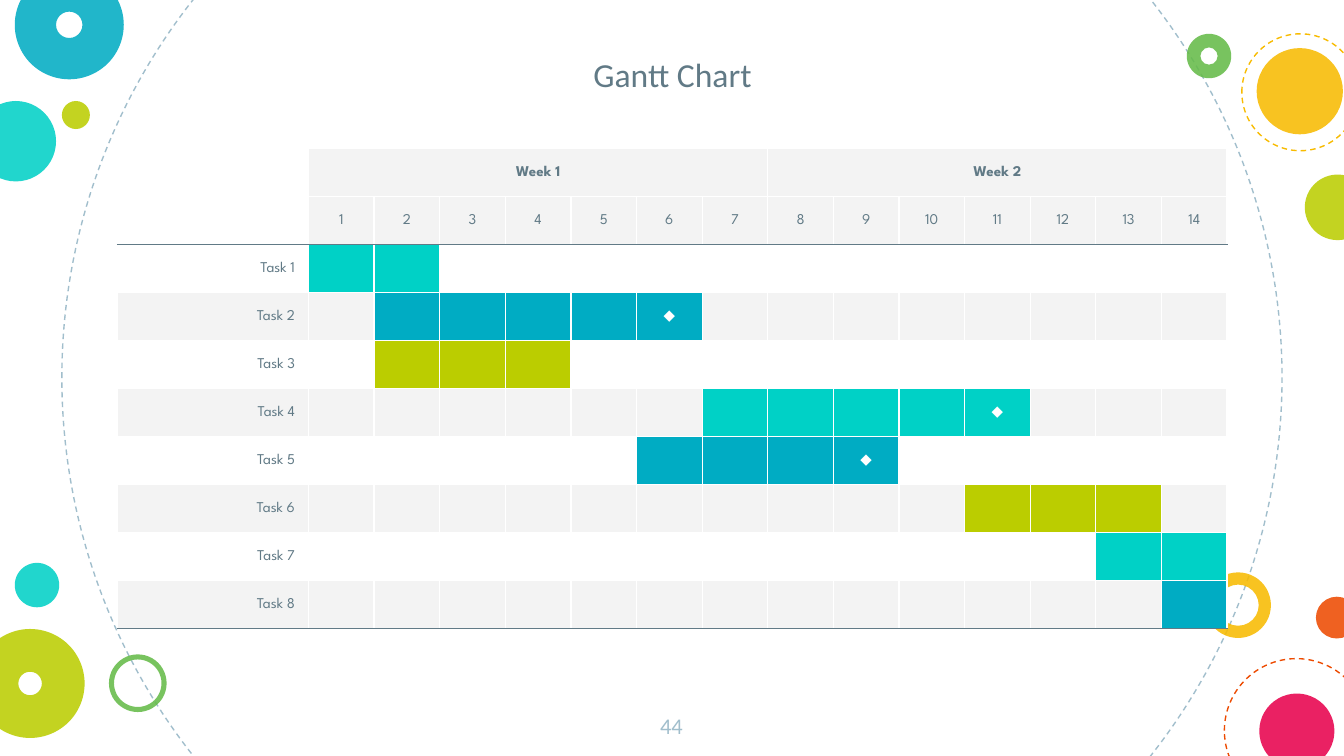
from typing import NamedTuple, Optional

from lxml.etree import SubElement
from pptx import Presentation
from pptx.dml.color import RGBColor
from pptx.enum.dml import MSO_LINE
from pptx.enum.shapes import MSO_SHAPE as SHAPE
from pptx.enum.text import MSO_ANCHOR as ANCHOR, PP_ALIGN as ALIGN
from pptx.oxml.ns import qn
from pptx.util import Cm, Pt

WHITE, GREY, SLATE, MIST = "FFFFFF", "F3F3F3", "617A86", "A1BECC"
TEAL, BLUE, LIME, GREEN = "00D1C6", "00ACC3", "BBCD00", "65BB48"
YELLOW, ORANGE, PINK = "F8BB00", "ED4A00", "E8004C"
DAYS_PER_WEEK, WEEKS = 7, 2
DAYS = DAYS_PER_WEEK * WEEKS
HEADER_ROWS = 2


class Circle(NamedTuple):
    left: float
    top: float
    size: float
    color: str
    ring: Optional[float] = None
    dashed: bool = False


class Task(NamedTuple):
    start: int
    end: int
    color: str
    milestone: bool = False


CIRCLES = [
    Circle(1.17, -4.39, 23.06, MIST, dashed=True),
    Circle(-0.46, 1.91, 1.52, TEAL),
    Circle(22.78, 10.82, 1.24, YELLOW, ring=0.186),
    Circle(0.28, -0.56, 2.06, BLUE, ring=0.379),
    Circle(1.17, 1.91, 0.53, LIME),
    Circle(23.14, 12.45, 2.72, ORANGE, dashed=True),
    Circle(2.06, 12.37, 1.09, GREEN, ring=0.088),
    Circle(24.87, 11.28, 0.79, ORANGE),
    Circle(-0.46, 11.89, 2.06, LIME, ring=0.392),
    Circle(23.8, 13.11, 1.42, PINK),
    Circle(22.43, 0.64, 0.84, GREEN, ring=0.306),
    Circle(23.75, 0.91, 1.63, YELLOW),
    Circle(24.66, 3.3, 1.24, LIME),
    Circle(23.47, 0.64, 2.21, YELLOW, dashed=True),
    Circle(0.28, 10.64, 0.84, TEAL),
]

TASKS = [
    Task(1, 2, TEAL),
    Task(2, 6, BLUE, milestone=True),
    Task(2, 4, LIME),
    Task(7, 11, TEAL, milestone=True),
    Task(6, 9, BLUE, milestone=True),
    Task(11, 13, LIME),
    Task(13, 14, TEAL),
    Task(14, 14, BLUE),
]


def rgb(color: str) -> RGBColor:
    return RGBColor.from_string(color)


def write(tf, text: str, *, size: float = 8, font: str = "League Spartan",
          color: str = SLATE, bold: bool = False, align=ALIGN.CENTER) -> None:
    p = tf.paragraphs[0]
    p.alignment = align
    r = p.add_run()
    r.text = text
    r.font.size, r.font.name, r.font.bold = Pt(size), font, bold
    r.font.color.rgb = rgb(color)


def add_circle(s, circle: Circle) -> None:
    kind = SHAPE.OVAL if circle.ring is None else SHAPE.DONUT
    sp = s.shapes.add_shape(kind, Cm(circle.left), Cm(circle.top),
                            Cm(circle.size), Cm(circle.size))
    sp.shadow.inherit = False
    if circle.ring is not None:
        sp.adjustments[0] = circle.ring
    if circle.dashed:
        sp.fill.background()
        sp.line.color.rgb = rgb(circle.color)
        sp.line.width = Pt(0.75)
        sp.line.dash_style = MSO_LINE.DASH
    else:
        sp.line.fill.background()
        sp.fill.solid()
        sp.fill.fore_color.rgb = rgb(circle.color)
        tint = sp.fill._xPr.find(".//" + qn("a:srgbClr"))
        SubElement(tint, qn("a:alpha"), val="87000")


def add_label(s, text: str, left: float, top: float, width: float,
              height: float, *, anchor=ANCHOR.TOP, **fmt) -> None:
    tf = s.shapes.add_textbox(Cm(left), Cm(top), Cm(width), Cm(height)).text_frame
    tf.word_wrap = True
    tf.vertical_anchor = anchor
    tf.margin_left = tf.margin_right = tf.margin_top = tf.margin_bottom = Cm(0.25)
    write(tf, text, **fmt)


def style_cell(cell, fill: Optional[str], top: str, bottom: str) -> None:
    cell.vertical_anchor = ANCHOR.MIDDLE
    tcPr = cell._tc.get_or_add_tcPr()
    for side, color in zip("LRTB", (WHITE, WHITE, top, bottom)):
        ln = SubElement(tcPr, qn(f"a:ln{side}"), w=str(Pt(0.75)))
        SubElement(SubElement(ln, qn("a:solidFill")), qn("a:srgbClr"), val=color)
    if fill:
        cell.fill.solid()
        cell.fill.fore_color.rgb = rgb(fill)
    else:
        cell.fill.background()
    SubElement(cell.text_frame.paragraphs[0]._p, qn("a:endParaRPr"), sz="800")


def cell_fill(row: int, col: int) -> Optional[str]:
    if row < HEADER_ROWS:
        return GREY if col else None
    task = TASKS[row - HEADER_ROWS]
    if task.start <= col <= task.end:
        return task.color
    return GREY if row % 2 else None


def add_gantt(s) -> None:
    rows = HEADER_ROWS + len(TASKS)
    height = Cm(9.07)
    table = s.shapes.add_table(rows, DAYS + 1, Cm(2.22), Cm(2.81),
                               Cm(20.97), height).table
    table.first_row = table.horz_banding = False
    for row in table.rows:
        row.height = height // rows
    for i, column in enumerate(table.columns):
        column.width = Cm(1.24 if i else 3.61)

    ruled = (HEADER_ROWS - 1, rows - 1)
    for row in range(rows):
        top = SLATE if row == HEADER_ROWS else WHITE
        bottom = SLATE if row in ruled else WHITE
        for col in range(DAYS + 1):
            style_cell(table.cell(row, col), cell_fill(row, col), top, bottom)

    for week in range(WEEKS):
        first = week * DAYS_PER_WEEK + 1
        cell = table.cell(0, first)
        cell.merge(table.cell(0, first + DAYS_PER_WEEK - 1))
        write(cell.text_frame, f"Week {week + 1}", bold=True)
    for day in range(1, DAYS + 1):
        write(table.cell(1, day).text_frame, str(day))
    for i, task in enumerate(TASKS):
        row = HEADER_ROWS + i
        write(table.cell(row, 0).text_frame, f"Task {i + 1}", align=ALIGN.RIGHT)
        if task.milestone:
            write(table.cell(row, task.end).text_frame, "◆", color=WHITE)


def main() -> None:
    prs = Presentation()
    prs.slide_width, prs.slide_height = Cm(25.4), Cm(14.29)
    s = prs.slides.add_slide(prs.slide_layouts[6])
    for circle in CIRCLES:
        add_circle(s, circle)
    add_label(s, "44", 12.04, 13.21, 1.3, 1.09,
              size=12, font="Calibri", color=MIST)
    add_gantt(s)
    add_label(s, "Gantt Chart", 5.38, 0.25, 14.66, 1.78,
              anchor=ANCHOR.BOTTOM, size=18, font="Calibri")
    prs.save("out.pptx")


if __name__ == "__main__":
    main()
